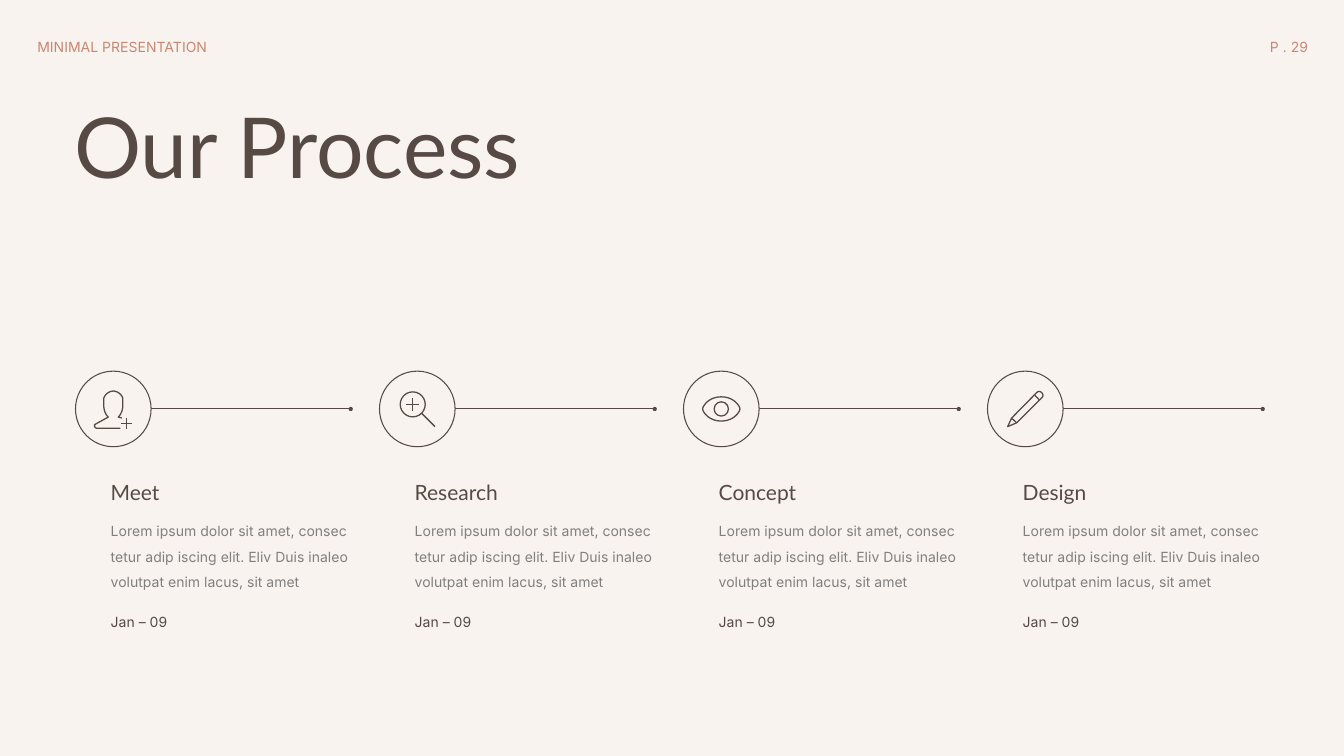
from lxml import etree
from pptx import Presentation
from pptx import util as u
from pptx.dml.color import RGBColor
from pptx.enum import shapes, text
from pptx.oxml.ns import qn

COLORS = {"paper": "F8F3EF", "ink": "574A44", "rose": "C88772", "gray": "808080"}
WIDE, HIGH = 67.73, 38.1
PITCH = 15.32
MID = (5.71, 20.61)  # centre of the first circle
RING = 1.905
LOREM = ("Lorem ipsum dolor sit amet, consec tetur adip iscing elit. "
         "Eliv Duis inaleo volutpat enim lacus, sit amet")


def color(name):
    return RGBColor.from_string(COLORS[name])


def write(shape, words, size=20, font="Inter", tint="ink", align="LEFT",
          gap=1.5, inset=0.13):
    frame = shape.text_frame
    frame.word_wrap = True
    frame.auto_size = text.MSO_AUTO_SIZE.NONE
    frame.vertical_anchor = text.MSO_ANCHOR.TOP
    frame.margin_top = u.Cm(inset)
    para = frame.paragraphs[0]
    para.alignment = getattr(text.PP_ALIGN, align)
    para.line_spacing = gap
    run = para.add_run()
    run.text = words
    run.font.size = u.Pt(size)
    run.font.name = font
    run.font.color.rgb = color(tint)


def bend(a, b, c, d, steps=12):
    """Points of a cubic curve from a to d, without a."""
    for i in range(1, steps + 1):
        t = i / steps
        s = 1 - t
        yield tuple(s**3 * p + 3 * s * s * t * q + 3 * s * t * t * r + t**3 * v
                    for p, q, r, v in zip(a, b, c, d))


class Pen:
    """Draws on one slide; shapes are placed relative to self.mid."""

    def __init__(self, slide):
        self.slide = slide
        self.shapes = slide.shapes
        self.mid = (0, 0)

    def spot(self, x, y):
        return u.Cm(self.mid[0] + x), u.Cm(self.mid[1] + y)

    def ink(self, shape, width):
        shape.line.color.rgb = color("ink")
        shape.line.width = u.Pt(width)

    def label(self, words, x, y, w, h, **style):
        box = self.shapes.add_textbox(*map(u.Cm, (x, y, w, h)))
        write(box, words, **style)

    def title(self, words, x, y, w, h, **style):
        box = self.shapes.title
        box.left, box.top, box.width, box.height = map(u.Cm, (x, y, w, h))
        write(box, words, **style)

    def ring(self, x, y, r, width=1.8, fill=None):
        oval = self.shapes.add_shape(shapes.MSO_SHAPE.OVAL, *self.spot(x - r, y - r),
                                     u.Cm(2 * r), u.Cm(2 * r))
        oval.shadow.inherit = False
        if fill:
            oval.fill.solid()
            oval.fill.fore_color.rgb = color(fill)
        else:
            oval.fill.background()
        self.ink(oval, width)

    def line(self, a, b, width=1.8, dot=False):
        wire = self.shapes.add_connector(shapes.MSO_CONNECTOR.STRAIGHT,
                                         *self.spot(*a), *self.spot(*b))
        self.ink(wire, width)
        if dot:
            etree.SubElement(wire.line._get_or_add_ln(), qn("a:tailEnd"), type="oval")
        etree.SubElement(wire._element.spPr, qn("a:effectLst"))

    def plus(self, x, y, arm):
        self.line((x - arm, y), (x + arm, y))
        self.line((x, y - arm), (x, y + arm))

    def trace(self, start, *steps, close=False):
        """Outline of points (x, y) and curves ((x, y), (x, y), (x, y))."""
        dots = [start]
        for step in steps:
            if isinstance(step[0], tuple):
                dots.extend(bend(dots[-1], *step))
            else:
                dots.append(step)
        form = self.shapes.build_freeform(*self.spot(*start))
        form.add_line_segments([self.spot(*dot) for dot in dots[1:]], close=close)
        shape = form.convert_to_shape()
        shape.shadow.inherit = False
        shape.fill.background()
        self.ink(shape, 1.8)


def person(pen):
    pen.trace((0.43, 0.46), (0.25, 0.41),
              ((0.48, 0.2), (0.48, -0.15), (0.48, -0.15)), (0.48, -0.53),
              ((0.43, -0.74), (0.2, -0.9), (0, -0.9)),
              ((-0.2, -0.9), (-0.43, -0.74), (-0.48, -0.53)), (-0.48, -0.15),
              ((-0.48, -0.15), (-0.48, 0.2), (-0.25, 0.41)),
              (-0.94, 0.79), (-0.94, 0.91), (-0.86, 0.97), (0.36, 0.97))
    pen.plus(0.67, 0.72, 0.28)


def lens(pen):
    pen.ring(-0.23, -0.23, 0.63)
    pen.plus(-0.23, -0.23, 0.32)
    pen.line((0.22, 0.22), (0.89, 0.89))


def eye(pen):
    pen.trace((-0.94, 0),
              ((-0.94, -0.13), (-0.65, -0.61), (0, -0.61)),
              ((0.65, -0.61), (0.94, -0.13), (0.94, 0)),
              ((0.94, 0.13), (0.65, 0.61), (0, 0.61)),
              ((-0.65, 0.61), (-0.94, 0.13), (-0.94, 0)), close=True)
    pen.ring(0, 0, 0.36)


def pencil(pen):
    left, right = (-0.69, 0.46), (-0.44, 0.7)
    pen.trace((-0.89, 0.89), left, (0.58, -0.83),
              ((0.74, -0.99), (1, -0.73), (0.84, -0.57)), right, close=True)
    pen.line(left, right)
    pen.line((0.46, -0.71), (0.71, -0.46))


STEPS = [("Meet", person), ("Research", lens), ("Concept", eye), ("Design", pencil)]


def main():
    deck = Presentation()
    deck.slide_width, deck.slide_height = u.Cm(WIDE), u.Cm(HIGH)
    slide = deck.slides.add_slide(deck.slide_layouts[5])
    slide.background.fill.solid()
    slide.background.fill.fore_color.rgb = color("paper")
    pen = Pen(slide)

    pen.label("MINIMAL PRESENTATION", 1.63, 1.37, 10.16, 1.4, tint="rose")
    pen.label("P . 29", 56.01, 1.37, 10.16, 1.4, tint="rose", align="RIGHT")
    pen.title("Our Process", 3.48, 4.65, 24.94, 5.38, size=120, font="Lato", gap=1)

    for i, (name, icon) in enumerate(STEPS):
        x = 5.33 + i * PITCH
        pen.label(name, x, 22.81, 12.34, 1.96, size=30, font="Lato", inset=0.73)
        pen.label(LOREM, x, 25.4, 13.79, 4.11, tint="gray", inset=0.53)
        pen.label("Jan – 09", x, 29.97, 6.27, 1.55, inset=0.53)
        pen.mid = (MID[0] + i * PITCH, MID[1])
        pen.ring(0, 0, RING, width=1.5, fill="paper")
        pen.line((RING, 0), (RING + 10.06, 0), width=1.5, dot=True)
        icon(pen)

    deck.save("out.pptx")


if __name__ == "__main__":
    main()
